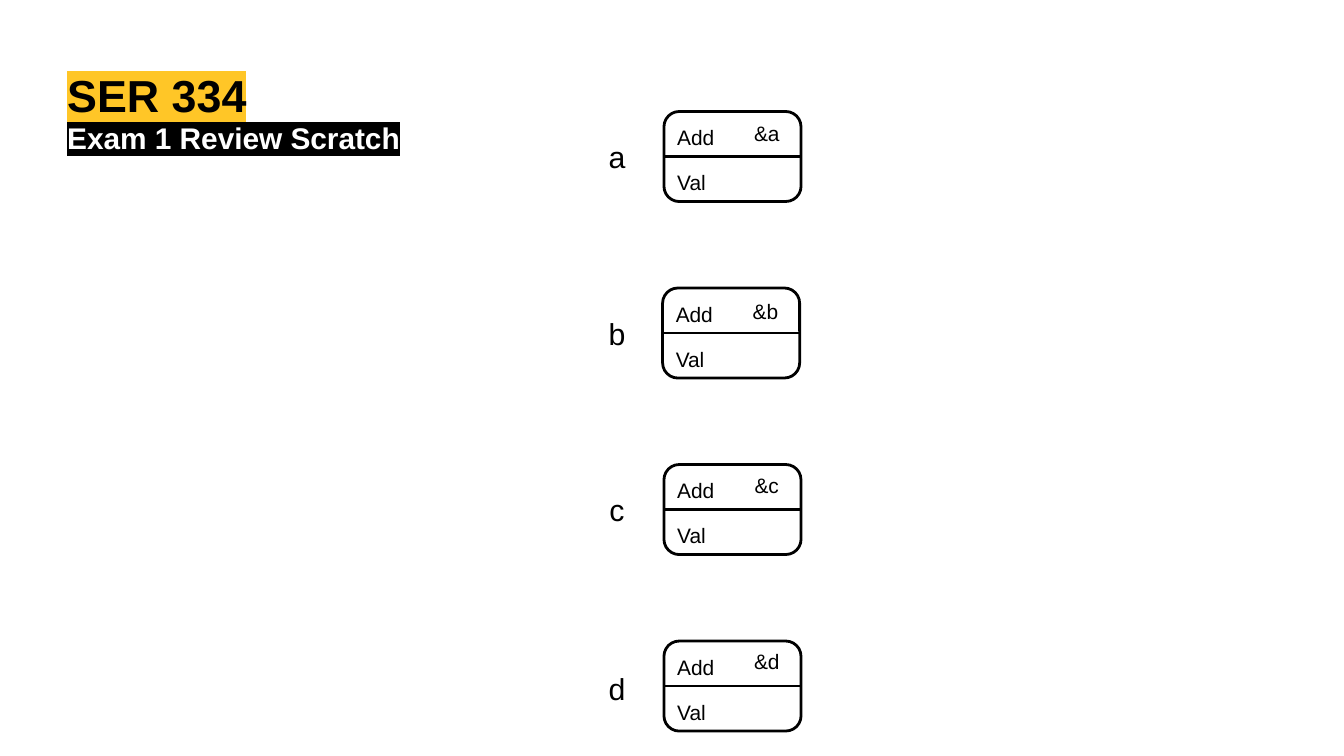
import pptx
import pptx.dml.color
import pptx.enum.shapes
import pptx.enum.text
import pptx.oxml.ns
import pptx.util
from lxml import etree

Inches = pptx.util.Inches
Pt = pptx.util.Pt
PP_ALIGN = pptx.enum.text.PP_ALIGN
MSO_ANCHOR = pptx.enum.text.MSO_ANCHOR
qn = pptx.oxml.ns.qn

COLORS = {"ink": "000000", "paper": "FFFFFF", "gold": "FFC627"}
FONT = "Arial"
SLIDE_WIDTH = 10
SLIDE_HEIGHT = SLIDE_WIDTH * 9 / 16
CELL_WIDTH, CELL_HEIGHT = 1.02, 0.67
FIRST_TOP, LAST_TOP = 0.83, 4.77

VARIABLES = [
    ("a", 4.94, 0.02, 0.01),
    ("b", 4.93, 0.02, 0.02),
    ("c", 4.94, 0.02, 0),
    ("d", 4.94, 0.04, 0),
]


def rgb(name):
    return pptx.dml.color.RGBColor.from_string(COLORS[name])


def write(shape, text, size, color="ink", bold=False, inset=0.1,
          align=PP_ALIGN.LEFT, anchor=MSO_ANCHOR.TOP):
    frame = shape.text_frame
    frame.word_wrap = True
    frame.auto_size = pptx.enum.text.MSO_AUTO_SIZE.NONE
    frame.vertical_anchor = anchor
    frame.margin_left = frame.margin_right = Inches(inset)
    frame.margin_top = frame.margin_bottom = Inches(inset)
    paragraph = frame.paragraphs[0]
    paragraph.alignment = align
    paragraph.space_before = Pt(0)
    run = paragraph.add_run()
    run.text = text
    run.font.name = FONT
    run.font.size = Pt(size)
    run.font.bold = bold
    run.font.color.rgb = rgb(color)
    return run


def add_heading(placeholder, text, top, width, height, size, color, marker):
    placeholder.left, placeholder.top = Inches(0.5), Inches(top)
    placeholder.width, placeholder.height = Inches(width), Inches(height)
    run = write(placeholder, text, size, color, bold=True, inset=0)
    highlight = etree.Element(qn("a:highlight"))
    etree.SubElement(highlight, qn("a:srgbClr")).set("val", COLORS[marker])
    run.font._element.find(qn("a:solidFill")).addnext(highlight)


def add_label(shapes, text, left, top, width, height, size=11.2, centered=False):
    label = shapes.add_textbox(Inches(left), Inches(top), Inches(width), Inches(height))
    if centered:
        write(label, text, size, align=PP_ALIGN.CENTER, anchor=MSO_ANCHOR.MIDDLE)
    else:
        write(label, text, size)


def outline(line):
    line.color.rgb = rgb("ink")
    line.width = Pt(1.5)


def add_divider(shapes, cell, left, middle):
    divider = shapes.add_connector(
        pptx.enum.shapes.MSO_CONNECTOR.STRAIGHT,
        Inches(left), Inches(middle), Inches(left + CELL_WIDTH), Inches(middle))
    divider.begin_connect(cell, 1)
    divider.end_connect(cell, 3)
    outline(divider.line)
    etree.SubElement(divider._element.spPr, qn("a:effectLst"))


def add_memory_cell(slide, variable, left, top, address_offset):
    shapes = slide.shapes.add_group_shape().shapes
    cell = shapes.add_shape(
        pptx.enum.shapes.MSO_SHAPE.ROUNDED_RECTANGLE,
        Inches(left), Inches(top), Inches(CELL_WIDTH), Inches(CELL_HEIGHT))
    cell.adjustments[0] = 0.17
    cell.shadow.inherit = False
    cell.fill.solid()
    cell.fill.fore_color.rgb = rgb("paper")
    outline(cell.line)
    middle = top + CELL_HEIGHT / 2
    add_label(shapes, "Add", left, top, CELL_WIDTH, 0.32)
    add_label(shapes, "Val", left, middle, CELL_WIDTH, 0.3)
    add_divider(shapes, cell, left, middle)
    add_label(shapes, "&" + variable, left + CELL_WIDTH / 2, top + address_offset,
              CELL_WIDTH / 2, 0.3, centered=True)


def main():
    presentation = pptx.Presentation()
    presentation.slide_width = Inches(SLIDE_WIDTH)
    presentation.slide_height = Inches(SLIDE_HEIGHT)
    slide = presentation.slides.add_slide(presentation.slide_layouts[0])
    course, topic = slide.placeholders
    add_heading(course, "SER 334", 0.5, 4.85, 0.39, 24, "ink", "gold")
    add_heading(topic, "Exam 1 Review Scratch", 0.89, 6.51, 0.29, 16, "paper", "ink")

    pitch = (LAST_TOP - FIRST_TOP) / (len(VARIABLES) - 1)
    for row, (variable, left, name_offset, address_offset) in enumerate(VARIABLES):
        top = FIRST_TOP + row * pitch
        add_label(slide.shapes, variable, 4.28, top + name_offset, 0.62, 0.63,
                  size=16.2, centered=True)
        add_memory_cell(slide, variable, left, top, address_offset)
    presentation.save("out.pptx")


if __name__ == "__main__":
    main()
